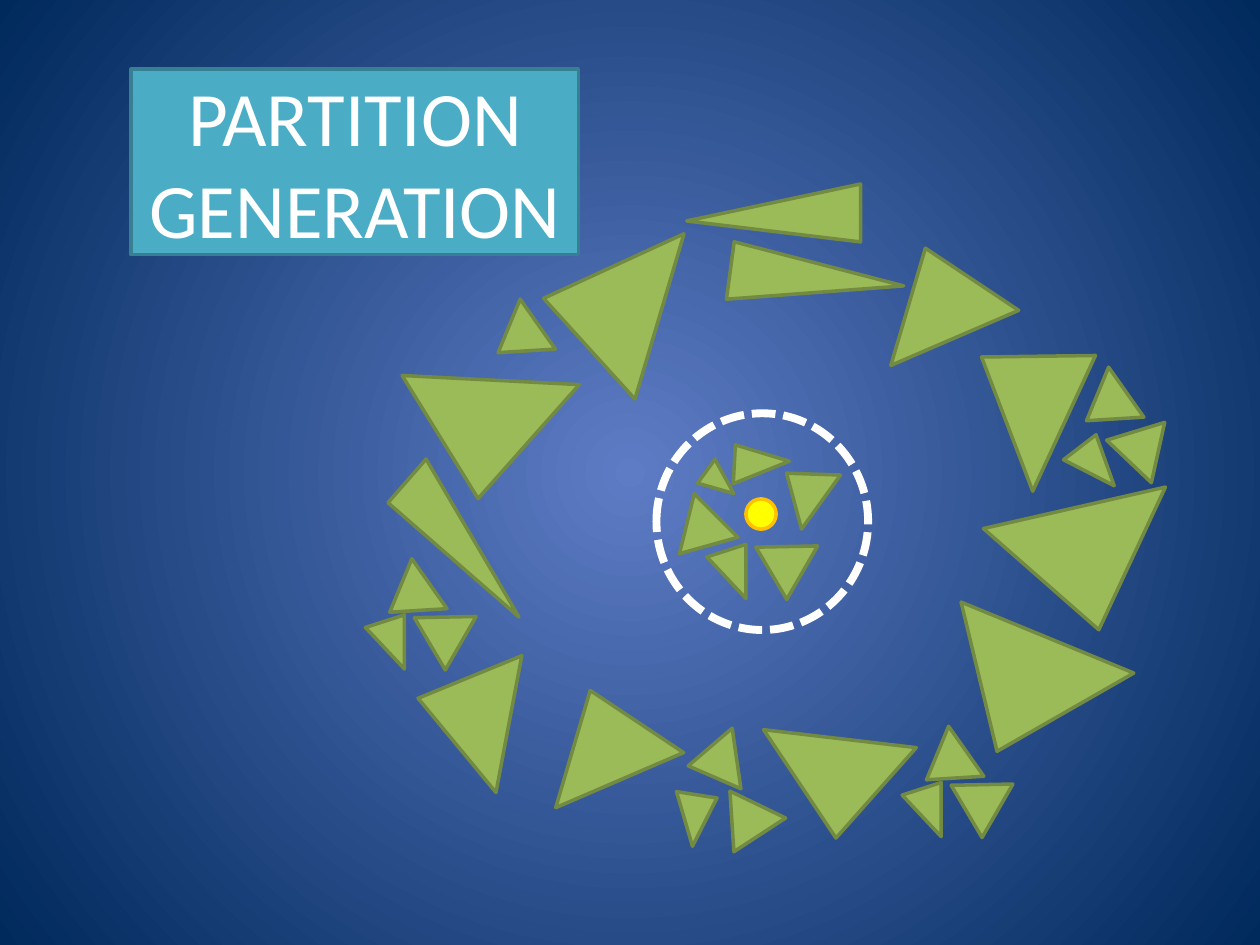
from lxml.etree import SubElement
from pptx import Presentation
from pptx.dml.color import RGBColor
from pptx.enum.dml import MSO_LINE
from pptx.enum.shapes import MSO_SHAPE
from pptx.enum.text import MSO_ANCHOR, MSO_AUTO_SIZE, PP_ALIGN
from pptx.oxml.ns import qn
from pptx.util import Inches, Pt

WHITE = RGBColor(0xFF, 0xFF, 0xFF)
GREEN = RGBColor(0x9B, 0xBB, 0x59)
OLIVE = RGBColor(0x73, 0x8A, 0x42)
TEAL = RGBColor(0x4B, 0xAC, 0xC6)
DEEP = RGBColor(0x37, 0x7F, 0x92)
YELLOW = RGBColor(0xFF, 0xFF, 0x00)
AMBER = RGBColor(0xFF, 0xC0, 0x00)
GLOW = RGBColor(0x5E, 0x7C, 0xC5)
NAVY = RGBColor(0x00, 0x29, 0x5C)

FRAME = {"word_wrap": True, "auto_size": MSO_AUTO_SIZE.NONE,
         "vertical_anchor": MSO_ANCHOR.MIDDLE}
FONT = {"name": "Calibri", "size": Pt(44)}

# (width, height, apex): [(left, top, turn), ...]
TILES = {
    (1.25, 1.17, 0.273): [(7.54, 4.56, 330.2), (7.83, 3.6, 295)],
    (0.48, 0.28, 0.273): [(5.75, 3.48, 338.1)],
    (0.96, 1, 0.273): [(6.1, 5.46, 311.6)],
    (0.3, 0.22, 0.273): [(5.56, 3.66, 15.8)],
    (0.46, 1.38, 0.363): [(6.25, 1.55, 97.7), (5.91, 1, 270)],
    (0.46, 1.38, 1): [(3.52, 3.58, 131.1)],
    (0.97, 0.85, 0.273): [(3.47, 5.22, 50.4), (4.47, 5.64, 106.4),
                          (7.13, 2.13, 106.4)],
    (0.46, 0.41, 0.273): [(6.27, 3.72, 75)],
    (1.08, 1.17, 0.342): [(4.57, 1.79, 47.8)],
    (1.21, 1.1, 0.273): [(3.18, 2.59, 311.6)],
    (1.14, 0.85, 0.273): [(7.82, 2.79, 69.1)],
    (0.43, 0.31, 0.768): [(5.55, 4.38, 270), (2.84, 4.94, 270),
                          (8.41, 3.55, 250.4), (5.24, 6.3, 296.9),
                          (7.1, 6.27, 270)],
    (0.49, 0.42, 0.483): [(5.94, 4.23, 300), (5.29, 4.03, 225),
                          (3.23, 4.79, 300), (8.86, 3.3, 43.6),
                          (5.67, 6.24, 326.9), (7.49, 6.12, 300)],
    (0.46, 0.41, 0.566): [(3.14, 4.52, 112.4), (8.67, 3, 112.4),
                          (5.54, 5.88, 139.4), (7.4, 5.85, 112.4),
                          (4, 2.46, 112.4)],
}


def apply(item, form):
    for key, value in form.items():
        setattr(item, key, value)


class Deck:
    def __init__(self):
        self.prs = Presentation()
        apply(self.prs, {"slide_width": Inches(10), "slide_height": Inches(7.5)})
        self.slide = self.prs.slides.add_slide(self.prs.slide_layouts[5])

    def ground(self, inner, outer):
        fill = self.slide.background.fill
        fill.gradient()
        for stop, color, place in zip(fill.gradient_stops, (inner, outer), (0, 1)):
            stop.color.rgb = color
            stop.position = place
        lin = self.slide.element.find(".//" + qn("a:lin"))
        grad = lin.getparent()
        grad.remove(lin)
        ring = SubElement(grad, qn("a:path"), {"path": "circle"})
        SubElement(ring, qn("a:fillToRect"), {side: "50000" for side in "ltrb"})

    def shape(self, kind, box, fill, edge, width=2, dash=None):
        shape = self.slide.shapes.add_shape(kind, *map(Inches, box))
        shape.shadow.inherit = False
        if fill is None:
            shape.fill.background()
        else:
            shape.fill.solid()
            shape.fill.fore_color.rgb = fill
        shape.line.color.rgb = edge
        apply(shape.line, {"width": Pt(width), "dash_style": dash})
        return shape

    def tile(self, box, turn, apex):
        tile = self.shape(MSO_SHAPE.ISOSCELES_TRIANGLE, box, GREEN, OLIVE)
        tile.rotation = turn
        tile.adjustments[0] = apex

    def title(self, text, box):
        title = self.slide.shapes.title
        apply(title, dict(zip(("left", "top", "width", "height"), map(Inches, box))))
        apply(title.text_frame, {"text": text, **FRAME})
        line = title.text_frame.paragraphs[0]
        line.alignment = PP_ALIGN.CENTER
        font = line.runs[0].font
        apply(font, FONT)
        font.color.rgb = WHITE
        self.slide.shapes.element.append(title.element)


def main():
    deck = Deck()
    deck.ground(GLOW, NAVY)
    deck.shape(MSO_SHAPE.RECTANGLE, (1.04, 0.55, 3.55, 1.47), TEAL, DEEP)
    deck.title("PARTITION GENERATION", (0.88, 0.48, 3.88, 1.61))
    for (width, height, apex), spots in TILES.items():
        for left, top, turn in spots:
            deck.tile((left, top, width, height), turn, apex)
    deck.shape(MSO_SHAPE.OVAL, (5.92, 3.96, 0.24, 0.24), YELLOW, AMBER)
    deck.shape(MSO_SHAPE.OVAL, (5.21, 3.28, 1.68, 1.72), None, WHITE, 4.5,
               MSO_LINE.SQUARE_DOT)
    deck.prs.save("out.pptx")


if __name__ == "__main__":
    main()
